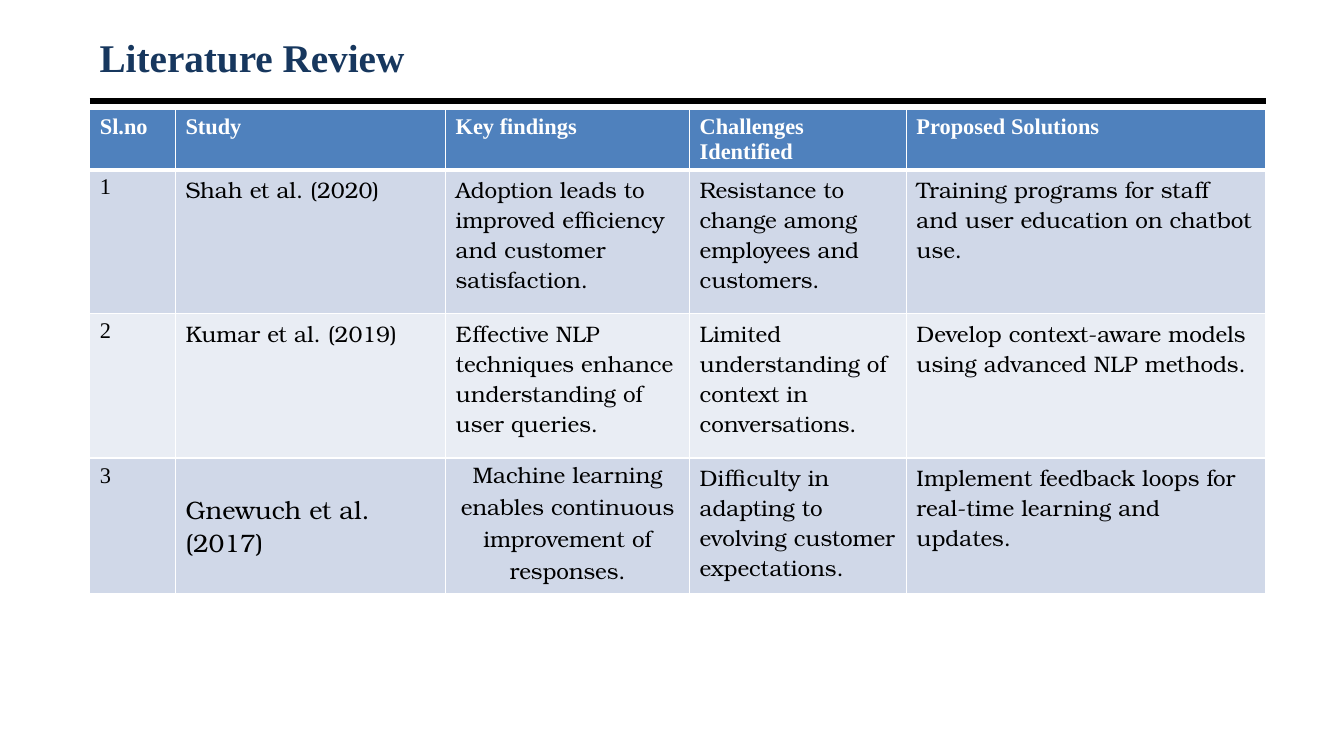
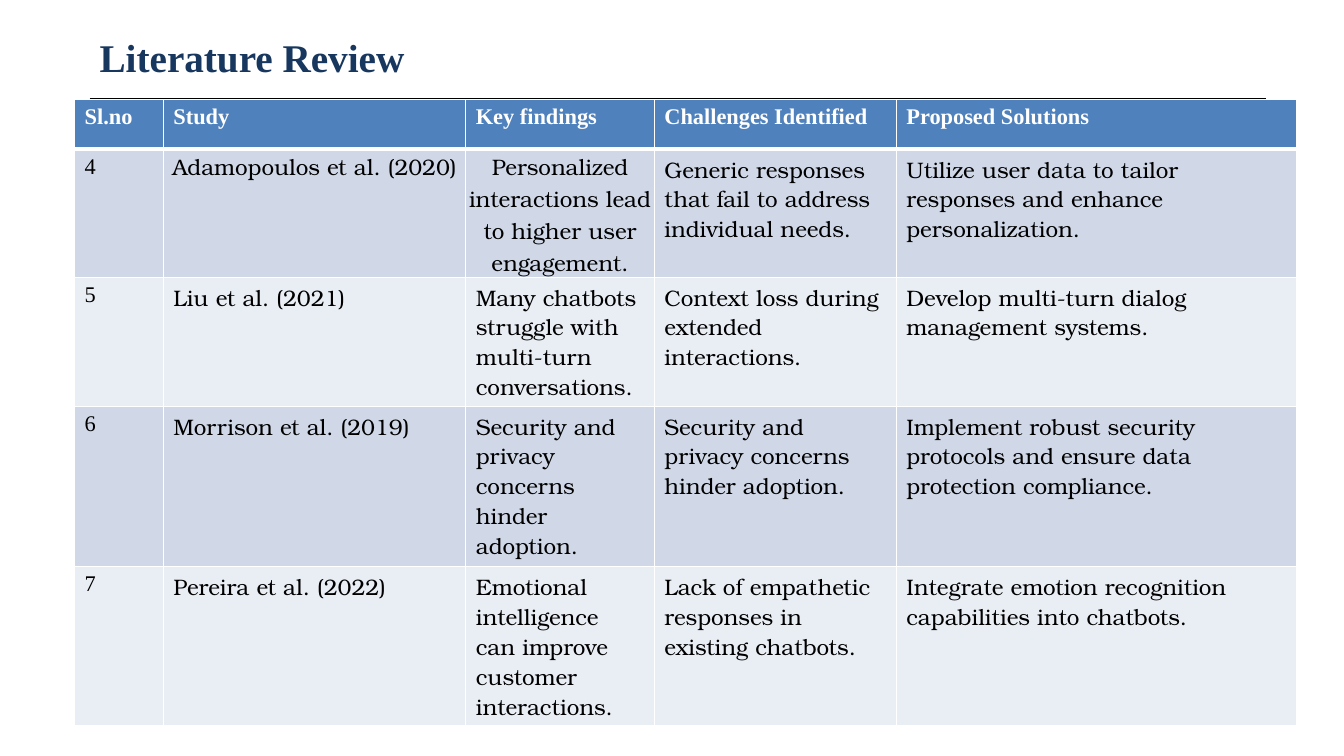
from lxml import etree
from pptx import Presentation
from pptx.dml.color import RGBColor
from pptx.enum.shapes import MSO_CONNECTOR
from pptx.enum.text import MSO_ANCHOR, PP_ALIGN
from pptx.oxml.ns import qn
from pptx.util import Inches, Pt

STRAIGHT = MSO_CONNECTOR.STRAIGHT
MIDDLE = MSO_ANCHOR.MIDDLE
CENTER = PP_ALIGN.CENTER

NAVY = RGBColor(0x17, 0x37, 0x5E)
BLUE = RGBColor(0x4F, 0x81, 0xBD)
ODD_BAND = RGBColor(0xD0, 0xD8, 0xE8)
EVEN_BAND = RGBColor(0xE9, 0xED, 0xF4)
BLACK = RGBColor(0, 0, 0)
WHITE = RGBColor(255, 255, 255)

SERIF = "Times New Roman"
BOOK = "TeX Gyre Bonum"

TITLE_FONT = {"name": SERIF, "size": Pt(28), "bold": True}
HEADING_FONT = {"name": SERIF, "size": Pt(16), "bold": True}
NUMBER_FONT = {"name": SERIF, "size": Pt(16), "bold": False}
BODY_FONT = {"name": BOOK, "size": Pt(16), "bold": False}
LARGE_FONT = {"name": BOOK, "size": Pt(18), "bold": False}

CENTERED_PARAGRAPH = {"alignment": CENTER, "line_spacing": 1.07, "space_after": Pt(8)}
NO_MARGINS = {"margin_left": 0, "margin_top": 0, "margin_right": 0, "margin_bottom": 0}

HEADINGS = ["Sl.no", "Study", "Key findings", "Challenges Identified", "Proposed Solutions"]
REVIEWS = [
    {
        "corner": (89, 109),
        "columns": [85, 268, 242, 215, 356],
        "rows": [58, 143, 143, 135],
        "centered": [(3, 2)],
        "large": [(3, 1)],
        "studies": [
            ["1", "Shah et al. (2020)",
             "Adoption leads to improved efficiency and customer satisfaction.",
             "Resistance to change among employees and customers.",
             "Training programs for staff and user education on chatbot use."],
            ["2", "Kumar et al. (2019)",
             "Effective NLP techniques enhance understanding of user queries.",
             "Limited understanding of context in conversations.",
             "Develop context-aware models using advanced NLP methods."],
            ["3", "Gnewuch et al. (2017)",
             "Machine learning enables continuous improvement of responses.",
             "Difficulty in adapting to evolving customer expectations.",
             "Implement feedback loops for real-time learning and updates."],
        ],
    },
    {
        "corner": (74, 99),
        "columns": [88, 300, 187, 240, 397],
        "rows": [49, 127, 128, 159, 158],
        "centered": [(1, 1), (1, 2)],
        "large": [],
        "studies": [
            ["4", "Adamopoulos et al. (2020)",
             "Personalized interactions lead to higher user engagement.",
             "Generic responses that fail to address individual needs.",
             "Utilize user data to tailor responses and enhance personalization."],
            ["5", "Liu et al. (2021)",
             "Many chatbots struggle with multi-turn conversations.",
             "Context loss during extended interactions.",
             "Develop multi-turn dialog management systems."],
            ["6", "Morrison et al. (2019)",
             "Security and privacy concerns hinder adoption.",
             "Security and privacy concerns hinder adoption.",
             "Implement robust security protocols and ensure data protection compliance."],
            ["7", "Pereira et al. (2022)",
             "Emotional intelligence can improve customer interactions.",
             "Lack of empathetic responses in existing chatbots.",
             "Integrate emotion recognition capabilities into chatbots."],
        ],
    },
]


def apply(target, values):
    for attribute, value in values.items():
        setattr(target, attribute, value)


def write(paragraph, text, font, color):
    run = paragraph.add_run()
    run.text = text
    apply(run.font, font)
    run.font.color.rgb = color


deck = Presentation()
deck.slide_width = Inches(13.33)
deck.slide_height = Inches(7.5)
COL = deck.slide_width // 1333
ROW = deck.slide_height // 750
LEFT, WIDTH = 89 * COL, 1167 * COL

for review in REVIEWS:
    slide = deck.slides.add_slide(deck.slide_layouts[6])

    rule = slide.shapes.add_connector(STRAIGHT, LEFT, 100 * ROW, LEFT + WIDTH, 100 * ROW)
    rule.line.color.rgb = BLACK
    rule.line.width = Pt(4.5)
    etree.SubElement(rule._element.spPr, qn("a:effectLst"))

    title = slide.shapes.add_textbox(LEFT, 30 * ROW, WIDTH, 53 * ROW).text_frame
    apply(title, {"word_wrap": True, "vertical_anchor": MIDDLE})
    write(title.paragraphs[0], "Literature Review", TITLE_FONT, NAVY)

    left, top = review["corner"]
    columns, rows = review["columns"], review["rows"]
    table = slide.shapes.add_table(
        len(rows), len(columns), left * COL, top * ROW, sum(columns) * COL, sum(rows) * ROW
    ).table
    for column, width in zip(table.columns, columns):
        column.width = width * COL
    for row, height in zip(table.rows, rows):
        row.height = height * ROW

    for r, texts in enumerate([HEADINGS] + review["studies"]):
        for c, text in enumerate(texts):
            cell = table.cell(r, c)
            paragraph = cell.text_frame.paragraphs[0]
            font = BODY_FONT if c else NUMBER_FONT
            if r == 0:
                font = HEADING_FONT
                cell.margin_bottom = ROW
            if (r, c) in review["large"]:
                font = LARGE_FONT
                cell.vertical_anchor = MIDDLE
            if (r, c) in review["centered"]:
                apply(cell, NO_MARGINS)
                apply(paragraph, CENTERED_PARAGRAPH)
            write(paragraph, text, font, BLACK if r else WHITE)

            borders = {"a:lnL": 1, "a:lnR": 1, "a:lnT": 3 if r == 1 else 1, "a:lnB": 1 if r else 3}
            for side, points in borders.items():
                border = etree.SubElement(cell._tc.get_or_add_tcPr(), qn(side), w=str(Pt(points)))
                paint = etree.SubElement(border, qn("a:solidFill"))
                etree.SubElement(paint, qn("a:srgbClr"), val=str(WHITE))
            cell.fill.solid()
            band = ODD_BAND if r % 2 else EVEN_BAND
            cell.fill.fore_color.rgb = band if r else BLUE

deck.save("out.pptx")
